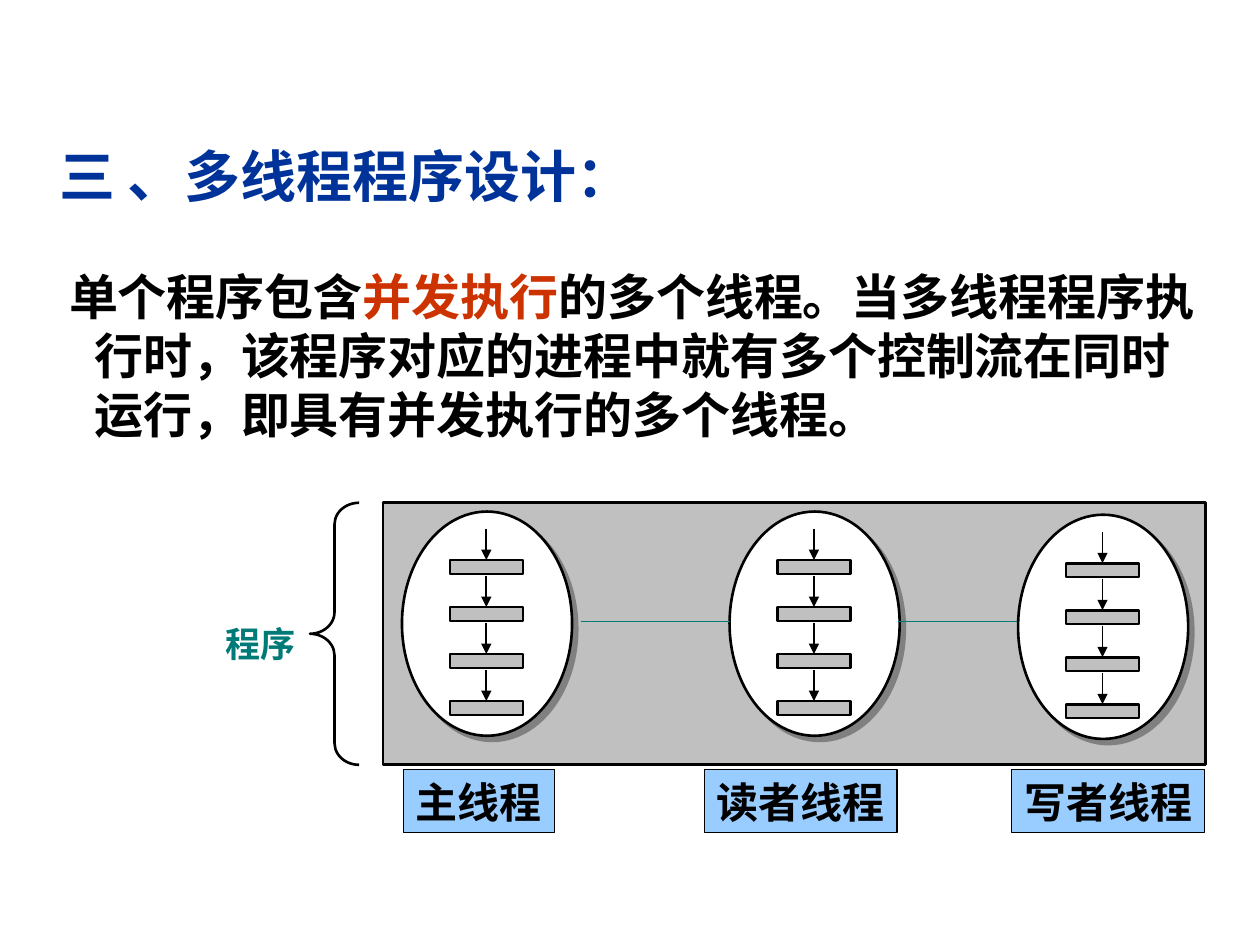
import pptx
import pptx.dml.color
import pptx.enum.shapes
import pptx.enum.text
import pptx.oxml
import pptx.oxml.ns
import pptx.util

RGBColor = pptx.dml.color.RGBColor
SHAPE = pptx.enum.shapes.MSO_SHAPE
ANCHOR = pptx.enum.text.MSO_ANCHOR
ALIGN = pptx.enum.text.PP_ALIGN

BLACK = RGBColor(0x00, 0x00, 0x00)
WHITE = RGBColor(0xFF, 0xFF, 0xFF)
GREY = RGBColor(0xC0, 0xC0, 0xC0)
TEAL = RGBColor(0x00, 0x7A, 0x77)
NAVY = RGBColor(0x00, 0x33, 0x99)
RED = RGBColor(0xCC, 0x33, 0x00)
SKY = RGBColor(0x99, 0xCC, 0xFF)

EAST_ASIAN_FONT = "Noto Sans CJK SC"
COLUMNS, ROWS = 1000, 750
STEPS, STEP_ROWS = 4, 37.3
DRAWING = 'xmlns:a="http://schemas.openxmlformats.org/drawingml/2006/main"'
SHADOW = (f'<a:effectLst {DRAWING}><a:outerShdw dist="53340" dir="2700000" '
          'algn="ctr" rotWithShape="0"><a:srgbClr val="808080"/>'
          '</a:outerShdw></a:effectLst>')


def grid(*cells):
    """Turn grid cells into lengths; the grid spans the 10 by 7.5 inch slide."""
    return [pptx.util.Inches(round(cell * 10 / COLUMNS, 3)) for cell in cells]


def add_run(paragraph, text, size, font_name, color):
    run = paragraph.add_run()
    run.text = text
    run.font.size = pptx.util.Pt(size)
    run.font.bold = True
    run.font.name = font_name
    run.font.color.rgb = color
    properties = run.font._element
    east_asian = pptx.oxml.parse_xml(
        f'<a:ea {DRAWING} typeface="{EAST_ASIAN_FONT}"/>')
    properties.find(pptx.oxml.ns.qn("a:latin")).addnext(east_asian)


def format_frame(shape, wrap, anchor=ANCHOR.MIDDLE, align=ALIGN.LEFT):
    frame = shape.text_frame
    frame.auto_size = pptx.enum.text.MSO_AUTO_SIZE.NONE
    frame.word_wrap = wrap
    frame.vertical_anchor = anchor
    frame.margin_left, frame.margin_right = grid(10, 10)
    frame.margin_top, frame.margin_bottom = grid(5, 5)
    paragraph = frame.paragraphs[0]
    paragraph.alignment = align
    paragraph.space_before = pptx.util.Pt(0)
    return paragraph


def add_box(shapes, kind, cells, fill=None, width=1.5):
    shape = shapes.add_shape(kind, *grid(*cells))
    shape.shadow.inherit = False
    if fill is None:
        shape.fill.background()
    else:
        shape.fill.solid()
        shape.fill.fore_color.rgb = fill
    shape.line.color.rgb = BLACK
    shape.line.width = pptx.util.Pt(width)
    return shape


def add_line(shapes, cells, color, width, arrow=False):
    line = shapes.add_connector(
        pptx.enum.shapes.MSO_CONNECTOR.STRAIGHT, *grid(*cells))
    line.line.color.rgb = color
    line.line.width = pptx.util.Pt(width)
    if arrow:
        line.line._get_or_add_ln().append(
            pptx.oxml.parse_xml(f'<a:tailEnd {DRAWING} type="triangle"/>'))
    line._element.spPr.append(pptx.oxml.parse_xml(f"<a:effectLst {DRAWING}/>"))


def add_thread(slide, left, top):
    """An oval holding a chain of steps, each entered by an arrow."""
    oval = add_box(slide.shapes, SHAPE.OVAL, (left, top, 135, 178), WHITE)
    properties = oval._element.spPr
    properties.remove(properties.find(pptx.oxml.ns.qn("a:effectLst")))
    properties.append(pptx.oxml.parse_xml(SHADOW))
    chain = slide.shapes.add_group_shape().shapes
    center = left + 67
    for step in range(STEPS):
        bar_top = top + 38.5 + step * STEP_ROWS
        add_box(chain, SHAPE.RECTANGLE, (center - 29, bar_top, 58, 11), GREY)
        add_line(chain, (center, bar_top - 25, center, bar_top),
                 BLACK, 1, arrow=True)


def add_label(slide, text, left, width):
    label = add_box(slide.shapes, SHAPE.RECTANGLE, (left, 611, width, 50),
                    SKY, 0.75)
    add_run(format_frame(label, False), text, 24, "Arial", BLACK)


def add_title(slide):
    title = slide.shapes.title
    title.left, title.top, title.width, title.height = grid(37, 107, 475, 64)
    add_run(format_frame(title, False), "三 、多线程程序设计：", 32, "Arial", NAVY)


def add_description(slide):
    box = slide.shapes.add_textbox(*grid(27, 202, 934, 459))
    paragraph = format_frame(box, True, ANCHOR.TOP)
    box.text_frame.margin_top, = grid(9)
    paragraph.line_spacing = pptx.util.Pt(33.7)
    indent, hanging = grid(38, -20)
    properties = paragraph._p.get_or_add_pPr()
    properties.set("marL", str(indent))
    properties.set("indent", str(hanging))
    for text, color in (
            ("单个程序包含", BLACK),
            ("并发执行", RED),
            ("的多个线程。当多线程程序执行时，该程序对应的进程中就有多个"
             "控制流在同时运行，即具有并发执行的多个线程。", BLACK)):
        add_run(paragraph, text, 28, EAST_ASIAN_FONT, color)


def add_program_brace(slide):
    brace = add_box(slide.shapes, SHAPE.LEFT_BRACE, (246, 399, 39, 208))
    brace.adjustments[0] = 0.44
    caption = slide.shapes.add_textbox(*grid(169, 488, 96, 45))
    paragraph = format_frame(caption, True, align=ALIGN.JUSTIFY)
    add_run(paragraph, "程序", 20, "Times New Roman", TEAL)


def main():
    presentation = pptx.Presentation()
    presentation.slide_width, presentation.slide_height = grid(COLUMNS, ROWS)
    slide = presentation.slides.add_slide(presentation.slide_layouts[5])

    # Heading and explanation
    add_title(slide)
    add_description(slide)

    # Program frame with its brace
    add_box(slide.shapes, SHAPE.RECTANGLE, (304, 399, 653, 208), GREY)
    add_program_brace(slide)

    # Threads, their links and their names
    for left, top in ((319, 406), (579, 406), (808, 408.5)):
        add_thread(slide, left, top)
    for start, end in ((461, 579), (713, 807)):
        add_line(slide.shapes, (start, 493, end, 493), TEAL, 0.75)
    for text, left, width in (("主线程", 320, 120), ("读者线程", 559, 153),
                              ("写者线程", 803, 153)):
        add_label(slide, text, left, width)

    presentation.save("out.pptx")


if __name__ == "__main__":
    main()
